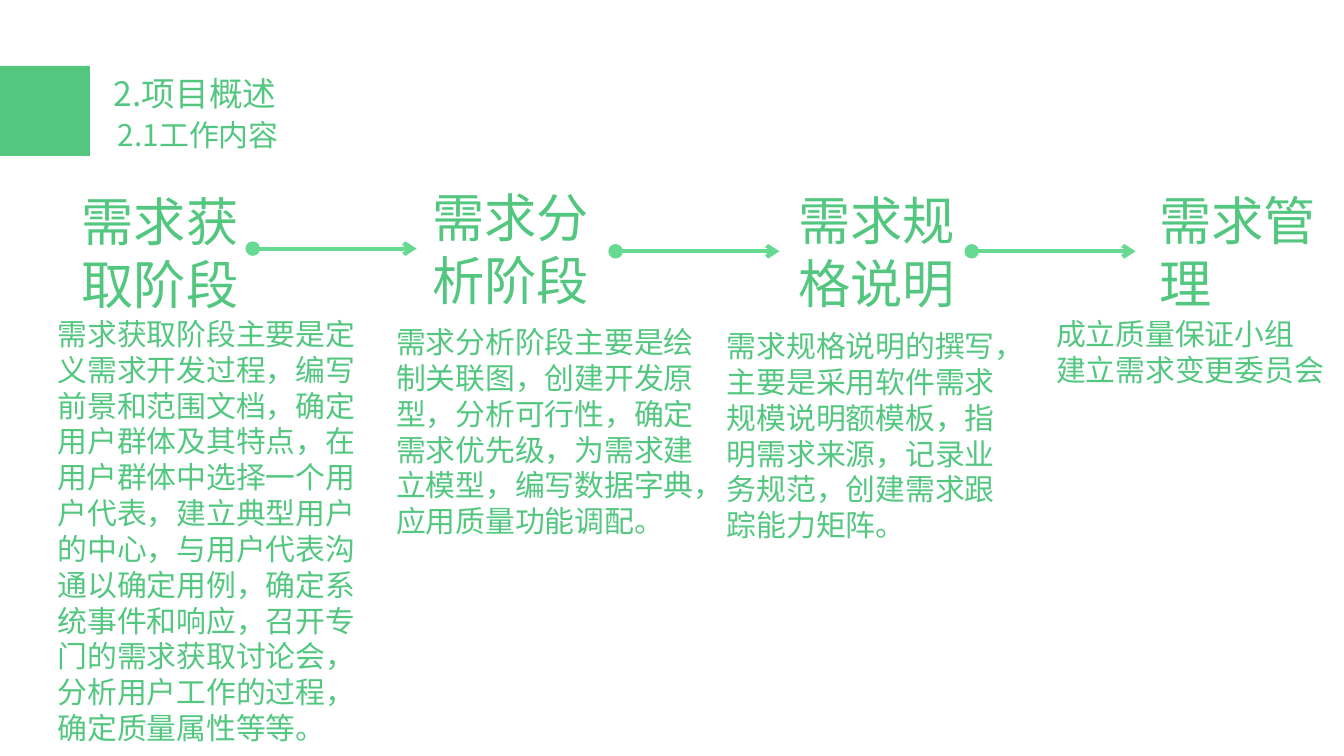
from lxml.etree import SubElement
from pptx import Presentation
from pptx.dml.color import RGBColor
from pptx.enum.shapes import MSO_CONNECTOR, MSO_SHAPE
from pptx.enum.text import MSO_AUTO_SIZE
from pptx.oxml.ns import qn
from pptx.util import Inches, Pt

COLORS = {"main": "53C780", "link": "67D993"}
FONTS = {"head": "Noto Sans CJK SC", "text": "Calibri"}
COLS, ROWS = 100, 56.25
CELL = Inches(0.1)

# Each stage: title, title column and row, body column, row and width, body lines
STAGES = [
    ("需求获取阶段", 5.1, 13.6, 3.3, 23, 25.2, [
        "需求获取阶段主要是定义需求开发过程，编写前景和范围文档，确定用户群体及其特点，"
        "在用户群体中选择一个用户代表，建立典型用户的中心，与用户代表沟通以确定用例，"
        "确定系统事件和响应，召开专门的需求获取讨论会，分析用户工作的过程，"
        "确定质量属性等等。"]),
    ("需求分析阶段", 31.2, 13.3, 28.5, 23.6, 24.6, [
        "需求分析阶段主要是绘制关联图，创建开发原型，分析可行性，确定需求优先级，"
        "为需求建立模型，编写数据字典，应用质量功能调配。"]),
    ("需求规格说明", 58.4, 13.5, 53.1, 23.9, 22.3, [
        "需求规格说明的撰写，主要是采用软件需求规模说明额模板，指明需求来源，"
        "记录业务规范，创建需求跟踪能力矩阵。"]),
    ("需求管理", 85.3, 13.5, 77.6, 23, 22.7, [
        "成立质量保证小组", "建立需求变更委员会"]),
]
LINKS = [(18.4, 18.5), (45.4, 18.7), (71.9, 18.7)]


def grid(*cells):
    return [round(CELL * cell) for cell in cells]


def color(name):
    return RGBColor.from_string(COLORS[name])


def add_text(slide, box, lines, size, font="text"):
    frame = slide.shapes.add_textbox(*grid(*box)).text_frame
    frame.word_wrap = True
    frame.auto_size = MSO_AUTO_SIZE.SHAPE_TO_FIT_TEXT
    for i, line in enumerate(lines):
        para = frame.add_paragraph() if i else frame.paragraphs[0]
        run = para.add_run()
        run.text = line
        run.font.size = Pt(size)
        run.font.name = FONTS[font]
        run.font.color.rgb = color("main")


def add_shape(slide, kind, box, fill):
    shape = slide.shapes.add_shape(kind, *grid(*box))
    shape.shadow.inherit = False
    shape.fill.solid()
    shape.fill.fore_color.rgb = color(fill)
    shape.line.fill.background()
    return shape


def add_link(slide, col, row):
    """Draw an arrow that starts at a round dot."""
    ends = grid(col, row, col + 12.6, row)
    arrow = slide.shapes.add_connector(MSO_CONNECTOR.STRAIGHT, *ends)
    arrow.line.color.rgb = color("link")
    arrow.line.width = Pt(2.25)
    SubElement(arrow.line._get_or_add_ln(), qn("a:tailEnd"), type="arrow")
    SubElement(arrow._element.spPr, qn("a:effectLst"))

    dot = add_shape(slide, MSO_SHAPE.OVAL, (col, row - 0.4, 0.8, 0.8), "link")
    dot.line.color.rgb = color("link")
    dot.line.width = Pt(2)


def add_head(slide):
    add_shape(slide, MSO_SHAPE.RECTANGLE, (0, 4.9, 6.7, 6.7), "main")
    add_text(slide, (7.5, 4.9, 17.3, 4), ["2.项目概述"], 18, "head")
    add_text(slide, (7.8, 8.2, 17.3, 3.7), ["2.1工作内容"], 16, "head")


def add_stage(slide, title, col, row, left, top, width, lines):
    height = 3.7 + 2.65 * (sum(len(line) for line in lines) // 10)
    add_text(slide, (col, row, 17, 10.4), [title], 28)
    add_text(slide, (left, top, width, height), lines, 16)


def main():
    deck = Presentation()
    deck.slide_width, deck.slide_height = grid(COLS, ROWS)
    slide = deck.slides.add_slide(deck.slide_layouts[6])
    add_head(slide)
    for stage in STAGES:
        add_stage(slide, *stage)
    for link in LINKS:
        add_link(slide, *link)
    deck.save("out.pptx")


if __name__ == "__main__":
    main()
